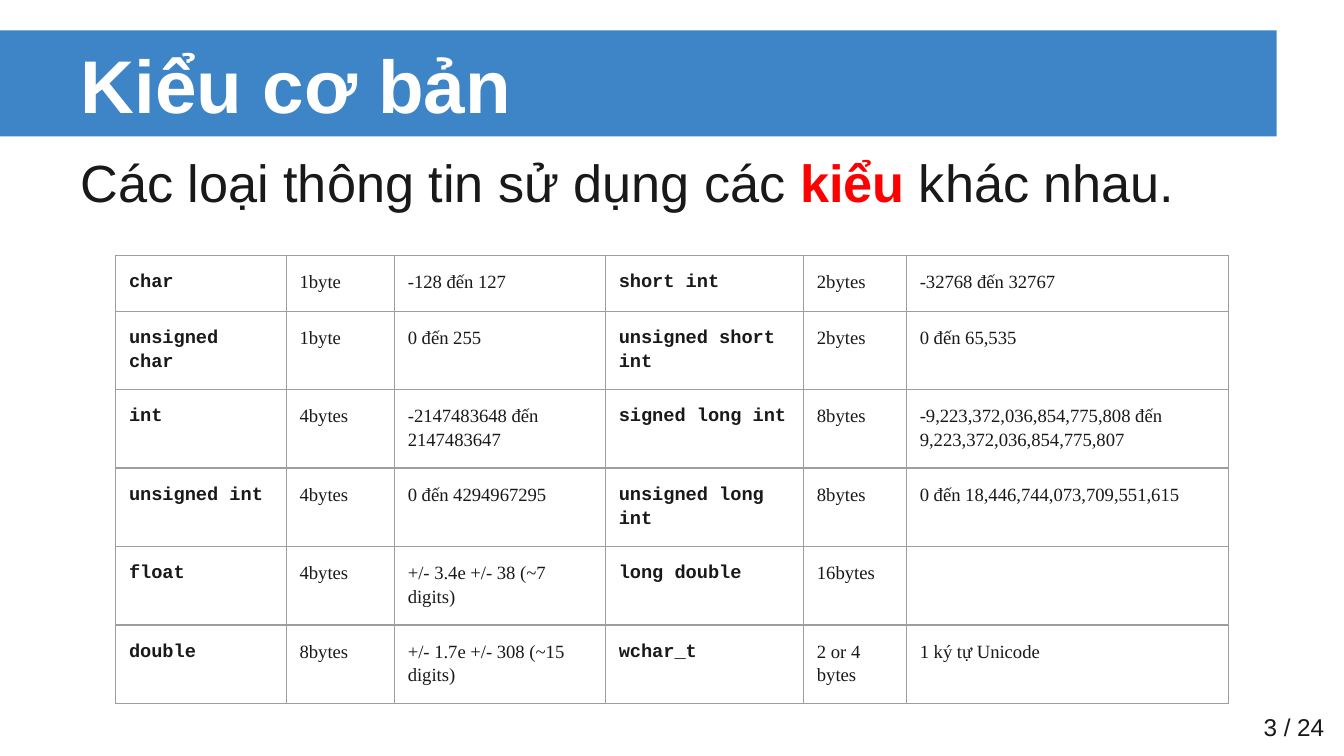
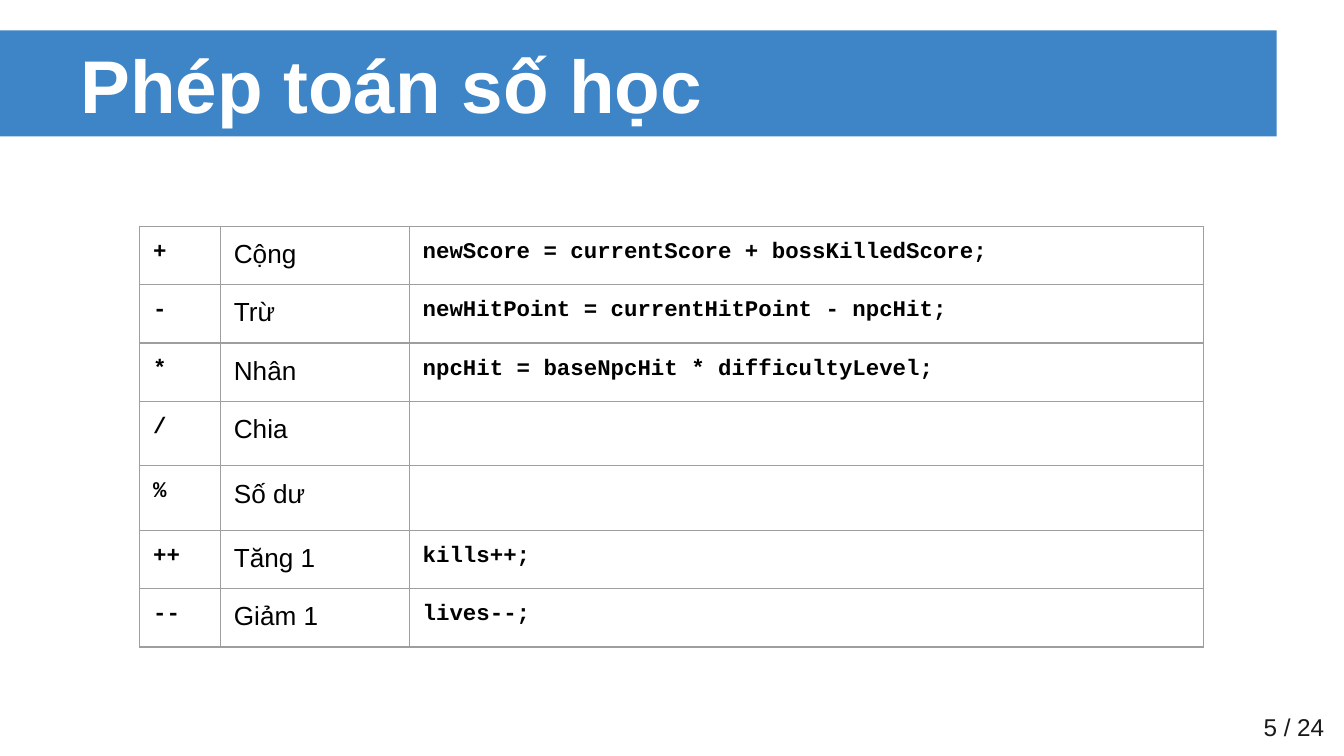
from lxml.etree import SubElement
from pptx import Presentation
from pptx.dml.color import RGBColor
from pptx.enum.shapes import MSO_SHAPE
from pptx.enum.text import MSO_ANCHOR, PP_ALIGN
from pptx.oxml.ns import qn
from pptx.util import Pt

SCALE = 4572  # EMU per px, 200 px to the inch
PAD = 20
BLUE = RGBColor(0x3D, 0x85, 0xC6)
WHITE = RGBColor(0xFF, 0xFF, 0xFF)
BLACK = RGBColor(0x00, 0x00, 0x00)
DARK = RGBColor(0x19, 0x19, 0x19)
RED = RGBColor(0xFF, 0x00, 0x00)
GREY = RGBColor(0x9E, 0x9E, 0x9E)
SANS, MONO, SERIF = "Arial", "Courier New", "Times New Roman"
BAND_TOP, BAND_H = 45, 158
TOTAL = 24

# Column looks: font, size, colour, bold
TYPE = (MONO, 10, DARK, True)
NOTE = (SERIF, 10, DARK, False)
CODE = (MONO, 12, BLACK, True)
WORD = (SANS, 14, BLACK, False)

TYPES = [
    ["char", "1byte", "-128 đến 127",
     "short int", "2bytes", "-32768 đến 32767"],
    ["unsigned char", "1byte", "0 đến 255",
     "unsigned short int", "2bytes", "0 đến 65,535"],
    ["int", "4bytes", "-2147483648 đến 2147483647",
     "signed long int", "8bytes",
     "-9,223,372,036,854,775,808 đến 9,223,372,036,854,775,807"],
    ["unsigned int", "4bytes", "0 đến 4294967295",
     "unsigned long int", "8bytes", "0 đến 18,446,744,073,709,551,615"],
    ["float", "4bytes", "+/- 3.4e +/- 38 (~7 digits)",
     "long double", "16bytes", ""],
    ["double", "8bytes", "+/- 1.7e +/- 308 (~15 digits)",
     "wchar_t", "2 or 4 bytes", "1 ký tự Unicode"],
]
MATHS = [
    ["+", "Cộng", "newScore = currentScore + bossKilledScore;"],
    ["-", "Trừ", "newHitPoint = currentHitPoint - npcHit;"],
    ["*", "Nhân", "npcHit = baseNpcHit * difficultyLevel;"],
    ["/", "Chia", ""],
    ["%", "Số dư", ""],
    ["++", "Tăng 1", "kills++;"],
    ["--", "Giảm 1", "lives--;"],
]


def px(*sizes):
    return [size * SCALE for size in sizes]


def add_run(para, text, look):
    run = para.add_run()
    run.text = text
    font = run.font
    font.name, size, font.color.rgb, font.bold = look
    font.size = Pt(size)


def set_pad(part):
    part.margin_left = part.margin_right = PAD * SCALE
    part.margin_top = part.margin_bottom = PAD * SCALE


def fill_text(shape, runs, anchor, align):
    frame = shape.text_frame
    frame.word_wrap = True
    frame.vertical_anchor = anchor
    set_pad(frame)
    para = frame.paragraphs[0]
    para.alignment = align
    for text, look in runs:
        add_run(para, text, look)


def add_text(slide, box, runs, anchor=MSO_ANCHOR.TOP, align=PP_ALIGN.LEFT):
    fill_text(slide.shapes.add_textbox(*px(*box)), runs, anchor, align)


def add_band(slide):
    """Put the title band behind everything, on the shared layout."""
    band = slide.shapes.add_shape(
        MSO_SHAPE.RECTANGLE, *px(0, BAND_TOP, 1900, BAND_H))
    band.shadow.inherit = False
    band.fill.solid()
    band.fill.fore_color.rgb = BLUE
    band.line.fill.background()
    slide.slide_layout.shapes._spTree.insert(2, band._element)


def add_slide(deck, title, number):
    slide = deck.slides.add_slide(deck.slide_layouts[5])
    head = slide.shapes.title
    head.left, head.top, head.width, head.height = px(
        100, BAND_TOP, 1800, BAND_H)
    fill_text(head, [(title, (SANS, 40, WHITE, True))],
              MSO_ANCHOR.MIDDLE, PP_ALIGN.LEFT)
    add_text(slide, (1752, 1039, 238, 86),
             [(f"{number} / {TOTAL}", (SANS, 13, DARK, False))],
             MSO_ANCHOR.MIDDLE, PP_ALIGN.RIGHT)
    return slide


def add_edges(cell):
    props = cell._tc.get_or_add_tcPr()
    for side in ("lnL", "lnR", "lnT", "lnB"):
        line = SubElement(props, qn(f"a:{side}"), w=str(Pt(0.75)))
        fill = SubElement(line, qn("a:solidFill"))
        SubElement(fill, qn("a:srgbClr"), val=str(GREY))


def fill_cell(cell, text, look, space):
    set_pad(cell)
    add_edges(cell)
    cell.fill.background()
    para = cell.text_frame.paragraphs[0]
    if space:
        para.line_spacing = space
    if text:
        add_run(para, text, look)
    else:
        SubElement(para._p, qn("a:endParaRPr"), sz=str(look[1] * 100))


def add_grid(slide, spot, rows, widths, heights, looks, space=None):
    size = (sum(widths), sum(heights))
    table = slide.shapes.add_table(
        len(rows), len(widths), *px(*spot, *size)).table
    table.first_row = table.horz_banding = False
    for col, width in zip(table.columns, px(*widths)):
        col.width = width
    for row, height, texts in zip(table.rows, px(*heights), rows):
        row.height = height
        for cell, text, look in zip(row.cells, texts, looks):
            fill_cell(cell, text, look, space)


def main():
    deck = Presentation()
    deck.slide_width, deck.slide_height = px(2000, 1125)

    # Basic types
    slide = add_slide(deck, "Kiểu cơ bản", 3)
    add_band(slide)
    plain = (SANS, 28, DARK, False)
    add_text(slide, (100, 204, 1800, 874), [
        ("Các loại thông tin sử dụng các ", plain),
        ("kiểu", (SANS, 28, RED, True)),
        (" khác nhau.", plain),
    ])
    add_grid(slide, (172, 380), TYPES, [254, 161, 314, 295, 153, 479],
             [83] * len(TYPES), [TYPE, NOTE, NOTE] * 2, 1.15)

    # Arithmetic operators; rows without an example are taller
    slide = add_slide(deck, "Phép toán số học", 5)
    add_grid(slide, (208, 337), MATHS, [120, 281, 1182],
             [83 if row[-1] else 96 for row in MATHS], [CODE, WORD, CODE])

    deck.save("out.pptx")


if __name__ == "__main__":
    main()
